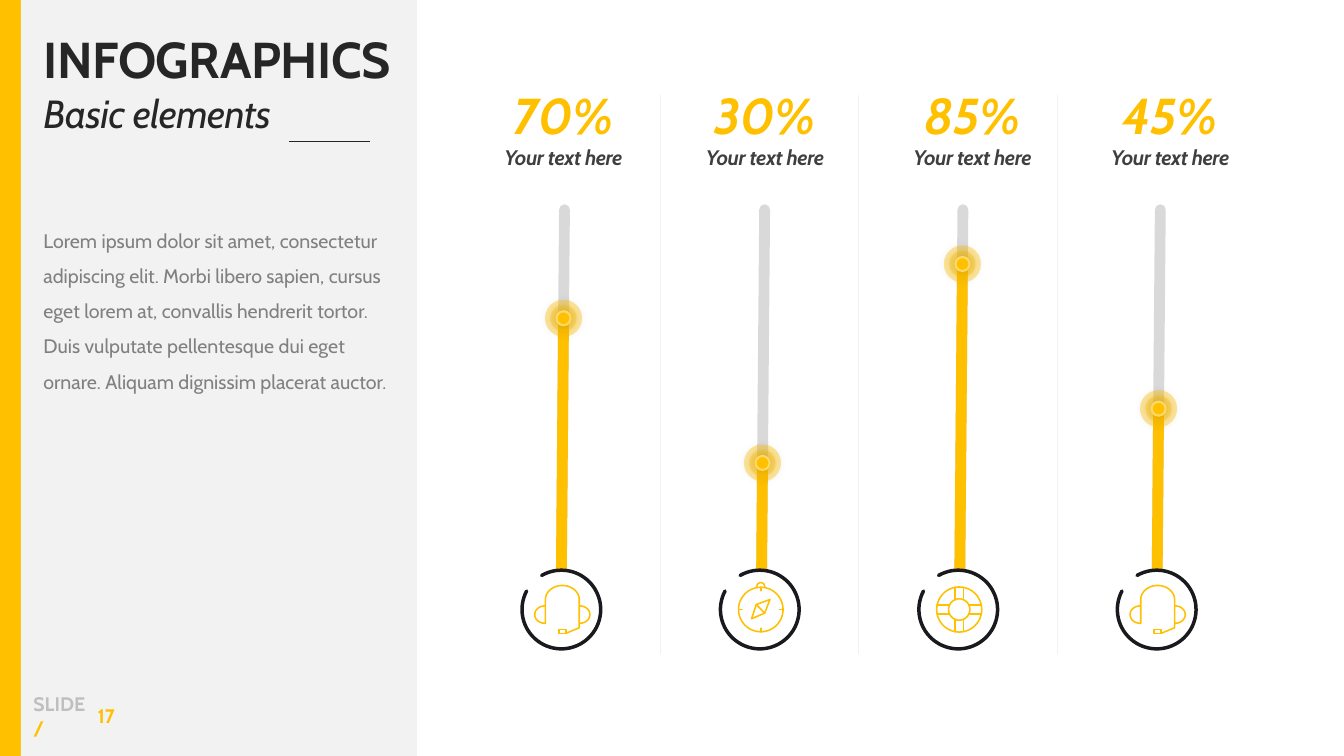
from dataclasses import dataclass
from math import cos, radians, sin

from lxml.etree import SubElement
from pptx import Presentation
from pptx.dml.color import RGBColor
from pptx.enum.shapes import MSO_CONNECTOR, MSO_SHAPE
from pptx.enum.text import MSO_ANCHOR, PP_ALIGN
from pptx.oxml.ns import qn
from pptx.util import Pt

Point = tuple[float, float]
Stroke = list[Point]


@dataclass(frozen=True)
class Theme:
    font: str = "Cabin"
    gold: str = "FFC000"
    glow: str = "FFD966"
    panel: str = "F2F2F2"
    white: str = "FFFFFF"
    track: str = "D9D9D9"
    ink: str = "262626"
    ring: str = "19191E"
    label: str = "3F3F3F"
    body: str = "808080"
    muted: str = "BFBFBF"
    large: float = 36
    medium: float = 28
    caption: float = 15
    small: float = 14


@dataclass(frozen=True)
class Gauge:
    share: int
    text_x: float
    track_x: float
    icon: str


@dataclass(frozen=True)
class Disc:
    size: float
    alpha: int
    rim: str | None = None


THEME = Theme()
GAUGES = [
    Gauge(70, 332, 401, "headset"),
    Gauge(30, 476, 544, "compass"),
    Gauge(85, 624.2, 685.6, "buoy"),
    Gauge(45, 765.4, 826.6, "headset"),
]
DISCS = [Disc(26.6, 40), Disc(18.7, 40), Disc(10, 100, THEME.glow)]
TRACK_TOP, TRACK_BASE, TRACK_LEAN = 149.8, 408.2, 2.2
RING_X, RING_Y, RING_SIZE = 401, 435.4, 28.1
PITCH = 141.75

deck = Presentation()
deck.slide_width, deck.slide_height = Pt(960), Pt(540)
slide = deck.slides.add_slide(deck.slide_layouts[6])
shapes = slide.shapes


def tint(code: str) -> RGBColor:
    return RGBColor.from_string(code)


def span(para, text: str, *, size: float, color: str, bold: bool = False,
         italic: bool = False, track: float = 0) -> None:
    """Add a run; track is the letter spacing in points."""
    run = para.add_run()
    run.text = text
    font = run.font
    font.name, font.size, font.bold, font.italic = THEME.font, Pt(size), bold, italic
    font.color.rgb = tint(color)
    if track:
        run._r.get_or_add_rPr().set("spc", str(round(track * 100)))


def write(text: str, x: float, y: float, wide: float, high: float, *,
          align=PP_ALIGN.LEFT, anchor=MSO_ANCHOR.TOP, lead: float = 1, **style):
    """Add a text box without insets and return its paragraph."""
    frame = shapes.add_textbox(Pt(x), Pt(y), Pt(wide), Pt(high)).text_frame
    frame.margin_left = frame.margin_right = frame.margin_top = frame.margin_bottom = 0
    frame.word_wrap, frame.vertical_anchor = True, anchor
    para = frame.paragraphs[0]
    para.alignment, para.line_spacing = align, lead
    span(para, text, **style)
    return para


def paint(shape, fill: str | None, edge: str | None = None, width: float = 0) -> None:
    shape.shadow.inherit = False
    if fill:
        shape.fill.solid()
        shape.fill.fore_color.rgb = tint(fill)
    else:
        shape.fill.background()
    if edge:
        shape.line.color.rgb = tint(edge)
        shape.line.width = Pt(width)
    else:
        shape.line.fill.background()


def soften(shape) -> None:
    """Set round line ends."""
    shape.element.spPr.find(qn("a:ln")).set("cap", "rnd")


def rule(start: Point, end: Point, color: str, width: float, soft: bool = False) -> None:
    line = shapes.add_connector(MSO_CONNECTOR.STRAIGHT, *map(Pt, start + end))
    line.line.color.rgb, line.line.width = tint(color), Pt(width)
    SubElement(line.element.spPr, qn("a:effectLst"))
    if soft:
        soften(line)


def panel(x: float, wide: float, color: str) -> None:
    paint(shapes.add_shape(MSO_SHAPE.RECTANGLE, Pt(x), 0, Pt(wide), Pt(540)), color)


def arc(x: float, y: float, wide: float, high: float, start: int, end: int) -> Stroke:
    """Sample an ellipse clockwise; wide and high are its radii."""
    steps = max(12, abs(end - start) // 5)
    turns = [radians(start + (end - start) * i / steps) for i in range(steps + 1)]
    return [(x + wide * cos(t), y + high * sin(t)) for t in turns]


def trace(strokes: list[Stroke], x: float, y: float, color: str, width: float,
          fill: str | None = None) -> None:
    """Draw strokes, given around (x, y), as one freeform."""
    paths = [[(Pt(x + dx), Pt(y + dy)) for dx, dy in stroke] for stroke in strokes]
    build = shapes.build_freeform(*paths[0][0])
    for i, path in enumerate(paths):
        if i:
            build.move_to(*path[0])
        build.add_line_segments(path[1:], close=False)
    shape = build.convert_to_shape()
    paint(shape, fill, color, width)
    soften(shape)


def headset() -> list[Stroke]:
    band = [(-12.1, 9.9), *arc(0, -7, 12.1, 10.2, 180, 360), (12.1, 13), (2.5, 17)]
    mic = [(-2.5, 14.3), (2.5, 14.3), (2.5, 17), (-2.5, 17), (-2.5, 14.3)]
    return [band, mic, arc(-12.5, 3.6, 7.2, 6.2, 90, 270), arc(12.5, 3.6, 7.2, 6.2, -90, 90)]


def compass() -> list[Stroke]:
    left, right = (-3.2, -3.6), (2.8, 2.6)
    needle = [left, (6.6, -7.2), right, (-6.6, 6.6), left, right]
    ticks = [[(a * 13.4, b * 13.4), (a * 15.9, b * 15.9)]
             for a, b in [(1, 0), (0, 1), (-1, 0), (0, -1)]]
    return [arc(0, 0, 15.9, 15.9, 0, 360), arc(0, -16.4, 2.8, 2.8, 170, 370), needle, *ticks]


def buoy() -> list[Stroke]:
    near, far, half = 6.9, 15.8, 3.2
    spokes = [[(a * near, b * half), (a * far, b * half)] for a in (-1, 1) for b in (-1, 1)]
    turned = [[(y, x) for x, y in spoke] for spoke in spokes]
    return [arc(0, 0, 16.1, 16.1, 0, 360), arc(0, 0, 7.6, 7.6, 0, 360), *spokes, *turned]


ICONS = {"headset": headset(), "compass": compass(), "buoy": buoy()}


def knob(x: float, y: float) -> None:
    for disc in DISCS:
        size = disc.size
        dot = shapes.add_shape(MSO_SHAPE.OVAL, Pt(x - size / 2), Pt(y - size / 2),
                               Pt(size), Pt(size))
        paint(dot, THEME.gold, disc.rim, 1.5)
        props = dot.element.spPr
        color = props.find(qn("a:solidFill"))[0]
        SubElement(color, qn("a:alpha"), val=str(disc.alpha * 1000))
        shade = SubElement(props.find(qn("a:effectLst")), qn("a:outerShdw"),
                           blurRad=str(Pt(5)), dist="0", dir="0")
        black = SubElement(shade, qn("a:srgbClr"), val="000000")
        SubElement(black, qn("a:alpha"), val="10000")


def gauge(item: Gauge, ring_x: float) -> None:
    common = dict(align=PP_ALIGN.CENTER, bold=True, italic=True, track=-0.3)
    write(f"{item.share}%", item.text_x, 59.8, 141, 44, size=THEME.large,
          color=THEME.gold, **common)
    write("Your text here", item.text_x, 103, 141, 18, size=THEME.caption,
          color=THEME.label, **common)
    part = item.share / 100
    base = (item.track_x, TRACK_BASE)
    level = (item.track_x + TRACK_LEAN * part, TRACK_BASE + (TRACK_TOP - TRACK_BASE) * part)
    rule(base, (item.track_x + TRACK_LEAN, TRACK_TOP), THEME.track, 7.75, soft=True)
    rule(base, level, THEME.gold, 7.75, soft=True)
    knob(*level)
    trace([arc(0, 0, RING_SIZE, RING_SIZE, -120, 208)], ring_x, RING_Y,
          THEME.ring, 2.5, THEME.white)
    trace(ICONS[item.icon], ring_x + 0.7, RING_Y, THEME.gold, 1.1)


def main() -> None:
    slide.background.fill.solid()
    slide.background.fill.fore_color.rgb = tint(THEME.gold)
    panel(15, 283, THEME.panel)
    panel(298, 662, THEME.white)
    foot = dict(anchor=MSO_ANCHOR.MIDDLE, size=THEME.small, bold=True)
    mark = write("SLIDE ", 23.8, 502.6, 43.9, 17.3, color=THEME.muted, **foot)
    span(mark, "/", size=THEME.small, color=THEME.gold, bold=True)
    write("17", 69.8, 502.6, 28, 17.3, color=THEME.gold, **foot)
    write("INFOGRAPHICS", 31, 20.2, 252.7, 44, size=THEME.large, color=THEME.ink,
          bold=True, track=-0.3)
    write("Basic elements", 31, 67.7, 252.7, 33, size=THEME.medium, color=THEME.ink,
          italic=True, track=-0.3, lead=0.9)
    rule((206.6, 100.8), (264.2, 100.8), THEME.ink, 0.5)
    write("Lorem ipsum dolor sit amet, consectetur adipiscing elit. Morbi libero sapien, "
          "cursus eget lorem at, convallis hendrerit tortor. Duis vulputate pellentesque "
          "dui eget ornare. Aliquam dignissim placerat auctor.",
          31, 154.8, 252.7, 72, size=THEME.small, color=THEME.body, lead=1.5)
    for i, item in enumerate(GAUGES):
        if i:
            x = 471.6 + (i - 1) * PITCH
            rule((x, 67.7), (x, 467.3), THEME.panel, 0.5)
        gauge(item, RING_X + i * PITCH)
    deck.save("out.pptx")


if __name__ == "__main__":
    main()
